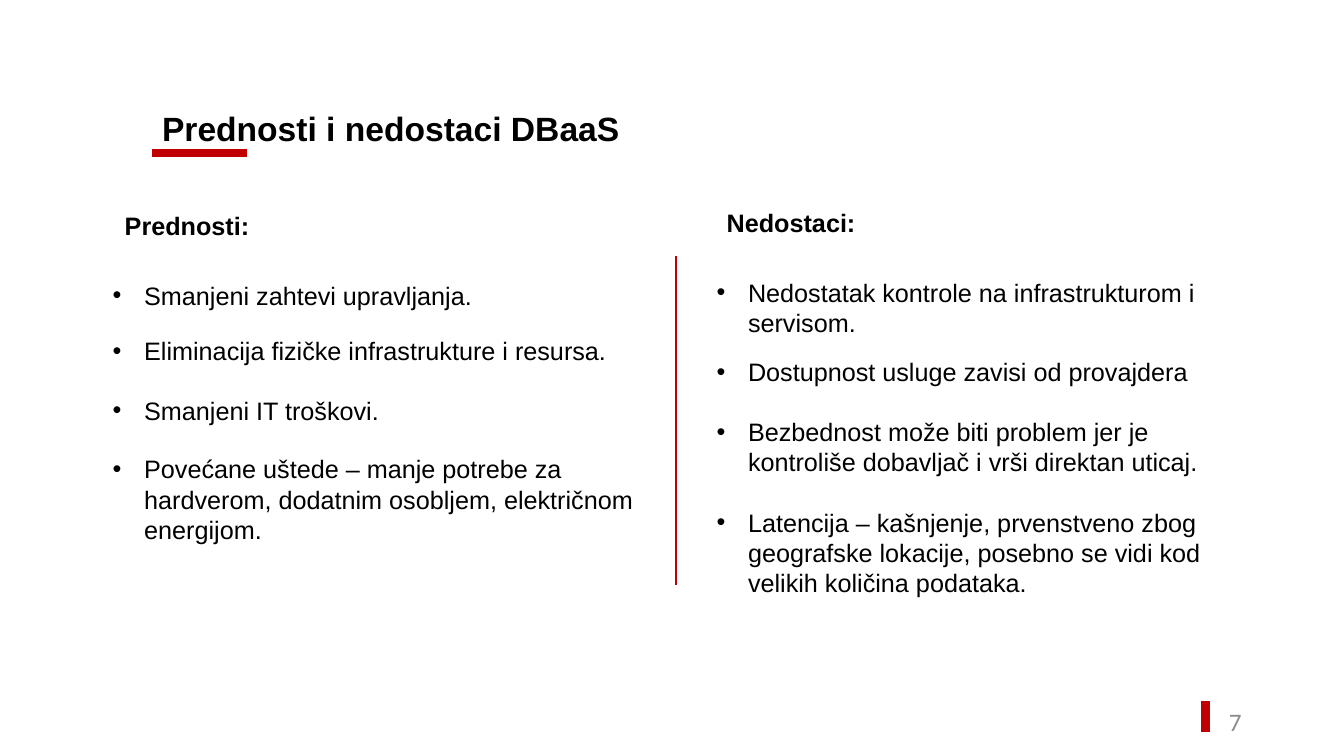
from pptx import Presentation
from pptx.dml.color import RGBColor
from pptx.enum.shapes import MSO_CONNECTOR
from pptx.enum.text import MSO_ANCHOR, MSO_AUTO_SIZE, PP_ALIGN
from pptx.oxml.ns import qn
from pptx.util import Pt
from lxml.etree import SubElement

BLACK = RGBColor(0x00, 0x00, 0x00)
GRAY = RGBColor(0x8C, 0x8C, 0x8C)
RED = RGBColor(0xC0, 0x00, 0x00)

LEFT = [
    (196.5, "Smanjeni zahtevi upravljanja."),
    (236.2, "Eliminacija fizičke infrastrukture i resursa."),
    (278.6, "Smanjeni IT troškovi."),
    (320.5, "Povećane uštede – manje potrebe za hardverom, "
            "dodatnim osobljem, električnom energijom."),
]
RIGHT = [
    (194.4, "Nedostatak kontrole na infrastrukturom i servisom."),
    (251.3, "Dostupnost usluge zavisi od provajdera"),
    (293.8, "Bezbednost može biti problem jer je kontroliše dobavljač "
            "i vrši direktan uticaj."),
    (358.6, "Latencija – kašnjenje, prvenstveno zbog geografske lokacije, "
            "posebno se vidi kod velikih količina podataka."),
]


class Deck:
    font = "Arial"
    size = 18
    indent = 22.5
    width = 400

    def __init__(self):
        self.prs = Presentation()
        self.prs.slide_width = Pt(960)
        self.prs.slide_height = Pt(540)
        self.slide = self.prs.slides.add_slide(self.prs.slide_layouts[6])

    def text(self, x, y, w, words, h=29, size=size, bold=False,
             font=font, color=BLACK):
        box = self.slide.shapes.add_textbox(Pt(x), Pt(y), Pt(w), Pt(h))
        frame = box.text_frame
        frame.word_wrap = True
        frame.auto_size = MSO_AUTO_SIZE.SHAPE_TO_FIT_TEXT
        run = frame.paragraphs[0].add_run()
        run.text = words
        run.font.name = font
        run.font.size = Pt(size)
        run.font.bold = bold
        run.font.color.rgb = color
        return frame

    def bullet(self, x, y, words):
        para = self.text(x, y, self.width, words).paragraphs[0]
        props = para._p.get_or_add_pPr()
        props.set("marL", str(Pt(self.indent)))
        props.set("indent", str(-Pt(self.indent)))
        SubElement(props, qn("a:buFont")).set("typeface", self.font)
        SubElement(props, qn("a:buChar")).set("char", "•")

    def number(self, x, y, w, words):
        frame = self.text(x, y, w, words, font="Calibri", color=GRAY)
        frame.auto_size = MSO_AUTO_SIZE.NONE
        frame.vertical_anchor = MSO_ANCHOR.MIDDLE
        frame.paragraphs[0].alignment = PP_ALIGN.RIGHT

    def line(self, x1, y1, x2, y2, weight):
        rule = self.slide.shapes.add_connector(
            MSO_CONNECTOR.STRAIGHT, Pt(x1), Pt(y1), Pt(x2), Pt(y2))
        rule.line.color.rgb = RED
        rule.line.width = Pt(weight)
        SubElement(rule._element.spPr, qn("a:effectLst"))


def main():
    deck = Deck()

    # Page number and its mark
    deck.number(678, 500.5, 216, "7")
    deck.line(861, 500.5, 861, 522.7, 6)

    # Title and its accent
    deck.text(108.7, 73.4, 712, "Prednosti i nedostaci DBaaS",
              h=36, size=24, bold=True)
    deck.line(108.7, 109.4, 176.4, 109.4, 6)

    # Column headings and divider
    deck.text(82, 147, 348, "Prednosti:", bold=True)
    deck.text(512, 144.7, 177, "Nedostaci:", bold=True)
    deck.line(483, 183, 483, 418, 1.5)

    # Bulleted columns
    for x, items in ((73.4, LEFT), (504.7, RIGHT)):
        for y, words in items:
            deck.bullet(x, y, words)

    deck.prs.save("out.pptx")


if __name__ == "__main__":
    main()
